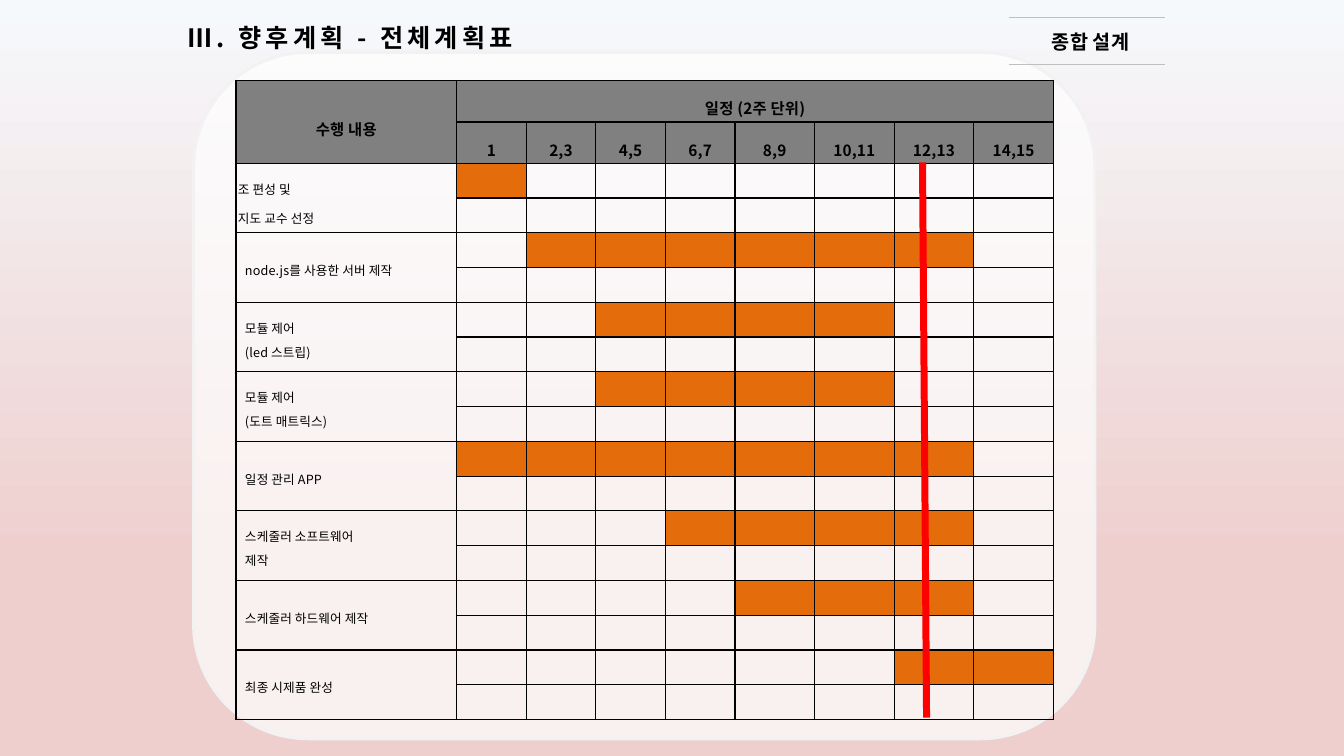
import pptx
import pptx.dml.color
import pptx.enum.shapes
import pptx.enum.text
import pptx.oxml.ns
import pptx.util
from dataclasses import dataclass
from lxml import etree

Inches = pptx.util.Inches
Align = pptx.enum.text.PP_ALIGN
Anchor = pptx.enum.text.MSO_ANCHOR
qn = pptx.oxml.ns.qn


@dataclass(frozen=True)
class Theme:
    """Colours, font and type sizes of the slide."""
    font: str = "Noto Sans CJK KR"
    text: str = "000000"
    sky: str = "F6F9FC"
    rose: str = "EECFCE"
    panel: str = "FFFFFF"
    panel_edge: str = "F2F2F2"
    rule: str = "BFBFBF"
    header: str = "808080"
    bar: str = "E46C0A"
    today: str = "FF0000"
    title_size: float = 18
    label_size: float = 14
    header_size: float = 11
    task_size: float = 9


THEME = Theme()
PERIODS = ["1", "2,3", "4,5", "6,7", "8,9", "10,11", "12,13", "14,15"]
# Task lines, first and last period, left indent, line spacing
TASKS = [
    (["조 편성 및", "지도 교수 선정"], 1, 1, 0, 1.6),
    (["node.js를 사용한 서버 제작"], 2, 7, 0.07, 1.3),
    (["모듈 제어", "(led 스트립)"], 3, 6, 0.07, 1.3),
    (["모듈 제어", "(도트 매트릭스)"], 3, 6, 0.07, 1.3),
    (["일정 관리 APP"], 1, 7, 0.07, 1.3),
    (["스케줄러 소프트웨어", "제작"], 4, 7, 0.07, 1.3),
    (["스케줄러 하드웨어 제작"], 5, 7, 0.07, 1.3),
    (["최종 시제품 완성"], 7, 8, 0.07, 1.3),
]


def color(value):
    """Turn a hex string into an RGB colour."""
    return pptx.dml.color.RGBColor.from_string(value)


def add_run(paragraph, text, size, bold=False, spacing=0.1):
    """Add one styled run; spacing is in points."""
    run = paragraph.add_run()
    run.text = text
    run.font.size = pptx.util.Pt(size)
    run.font.bold = bold
    run.font.name = THEME.font
    run.font.color.rgb = color(THEME.text)
    properties = run.font._element
    properties.set("spc", str(round(spacing * 100)))
    etree.SubElement(properties, qn("a:ea"), typeface=THEME.font)


def add_line(shapes, start, end, line_color, width):
    """Draw a straight line without a shadow."""
    line = shapes.add_connector(pptx.enum.shapes.MSO_CONNECTOR.STRAIGHT,
                                *map(Inches, (*start, *end)))
    line.line.color.rgb = color(line_color)
    line.line.width = pptx.util.Pt(width)
    etree.SubElement(line._element.spPr, qn("a:effectLst"))


def add_text(shapes, box, text, size, align, wrap, spacing):
    """Place a bold line of text in a box that grows with it."""
    frame = shapes.add_textbox(*map(Inches, box)).text_frame
    frame.word_wrap = wrap
    frame.auto_size = pptx.enum.text.MSO_AUTO_SIZE.SHAPE_TO_FIT_TEXT
    frame.paragraphs[0].alignment = align
    add_run(frame.paragraphs[0], text, size, True, spacing)


def paint_background(slide):
    """Fade the background from sky to rose."""
    fill = slide.background.fill
    fill.gradient()
    fill.gradient_angle = 270
    for stop, value, position in zip(fill.gradient_stops, (THEME.sky, THEME.rose), (0, 0.74)):
        stop.color.rgb = color(value)
        stop.position = position


def add_panel(slide, box):
    """Add the translucent rounded panel."""
    panel = slide.shapes.add_shape(
        pptx.enum.shapes.MSO_SHAPE.ROUNDED_RECTANGLE, *map(Inches, box))
    panel.shadow.inherit = False
    panel.fill.solid()
    panel.fill.fore_color.rgb = color(THEME.panel)
    fill_color = panel._element.spPr.find(qn("a:solidFill"))[0]
    etree.SubElement(fill_color, qn("a:alpha"), val="70000")
    panel.line.color.rgb = color(THEME.panel_edge)
    panel.line.width = pptx.util.Pt(2)


def add_course_label(slide, box):
    """Add the course name between two rules."""
    left, top, width, height = box
    shapes = slide.shapes.add_group_shape().shapes
    add_text(shapes, (left + 0.23, top + 0.08, 1.06, 0.34), "종합 설계",
             THEME.label_size, Align.RIGHT, False, 0.1)
    for y in (top, top + height):
        add_line(shapes, (left, y), (left + width, y), THEME.rule, 0.75)


def format_cell(cell):
    """Clear a cell, give it thin margins and a border on every side."""
    cell.margin_left = cell.margin_right = Inches(0.02)
    cell.margin_top = cell.margin_bottom = Inches(0.02)
    cell.vertical_anchor = Anchor.MIDDLE
    cell.fill.background()
    properties = cell._tc.get_or_add_tcPr()
    for index, side in enumerate(("lnL", "lnR", "lnT", "lnB")):
        border = etree.Element(qn("a:" + side), w="12700")
        fill = etree.SubElement(border, qn("a:solidFill"))
        etree.SubElement(fill, qn("a:srgbClr"), val=THEME.text)
        properties.insert(index, border)
    paragraph = cell.text_frame.paragraphs[0]
    etree.SubElement(paragraph._p, qn("a:endParaRPr"), sz=str(THEME.task_size * 100))


def fill_cell(cell, value):
    """Give a cell a solid colour."""
    cell.fill.solid()
    cell.fill.fore_color.rgb = color(value)


def write_cell(cell, lines, size, align, spacing, indent=0, bold=False):
    """Write one paragraph per line of text."""
    frame = cell.text_frame
    for index, text in enumerate(lines):
        paragraph = frame.add_paragraph() if index else frame.paragraphs[0]
        paragraph.alignment = align
        paragraph.line_spacing = spacing
        paragraph._p.get_or_add_pPr().set("marL", str(Inches(indent)))
        add_run(paragraph, text, size, bold)


def add_schedule(slide, box):
    """Build the schedule: two header rows, then two rows per task."""
    left, top, width, height = box
    row_count, header_height = 2 + 2 * len(TASKS), 0.41
    table = slide.shapes.add_table(row_count, 1 + len(PERIODS), *map(Inches, box)).table
    table.first_row = table.horz_banding = False
    narrow, wide = 0.69, 0.79
    widths = [width - 4 * (narrow + wide)] + [narrow] * 4 + [wide] * 4
    for column, column_width in zip(table.columns, widths):
        column.width = Inches(column_width)
    task_height = (height - 2 * header_height) / (row_count - 2)
    for index, row in enumerate(table.rows):
        row.height = Inches(header_height if index < 2 else task_height)
    for cell in table.iter_cells():
        format_cell(cell)

    headers = [(0, 0, "수행 내용"), (0, 1, "일정 (2주 단위)")]
    headers += [(1, index, period) for index, period in enumerate(PERIODS, 1)]
    for row, column, text in headers:
        cell = table.cell(row, column)
        fill_cell(cell, THEME.header)
        write_cell(cell, [text], THEME.header_size, Align.CENTER, 1.6, bold=True)
    table.cell(0, 0).merge(table.cell(1, 0))
    table.cell(0, 1).merge(table.cell(0, len(PERIODS)))

    for index, (lines, first, last, indent, spacing) in enumerate(TASKS):
        row = 2 + 2 * index
        name = table.cell(row, 0)
        write_cell(name, lines, THEME.task_size, Align.JUSTIFY, spacing, indent)
        name.merge(table.cell(row + 1, 0))
        for column in range(first, last + 1):
            fill_cell(table.cell(row, column), THEME.bar)

    add_line(slide.shapes, (left + 6.81, top + 0.81), (left + 6.85, top + 6.32),
             THEME.today, 5)


def build_plan_slide(presentation):
    """Build the overall plan slide."""
    slide = presentation.slides.add_slide(presentation.slide_layouts[6])
    paint_background(slide)
    add_panel(slide, (1.92, 0.52, 8.94, 6.81))
    add_course_label(slide, (10.01, 0.17, 1.54, 0.47))
    add_schedule(slide, (2.34, 0.8, 8.11, 6.34))
    add_text(slide.shapes, (1.76, 0.17, 5.1, 0.4), "Ⅲ. 향후계획 - 전체계획표",
             THEME.title_size, Align.LEFT, True, 2.9)


presentation = pptx.Presentation()
presentation.slide_width = Inches(13.33)
presentation.slide_height = Inches(7.5)
build_plan_slide(presentation)
presentation.save("out.pptx")
